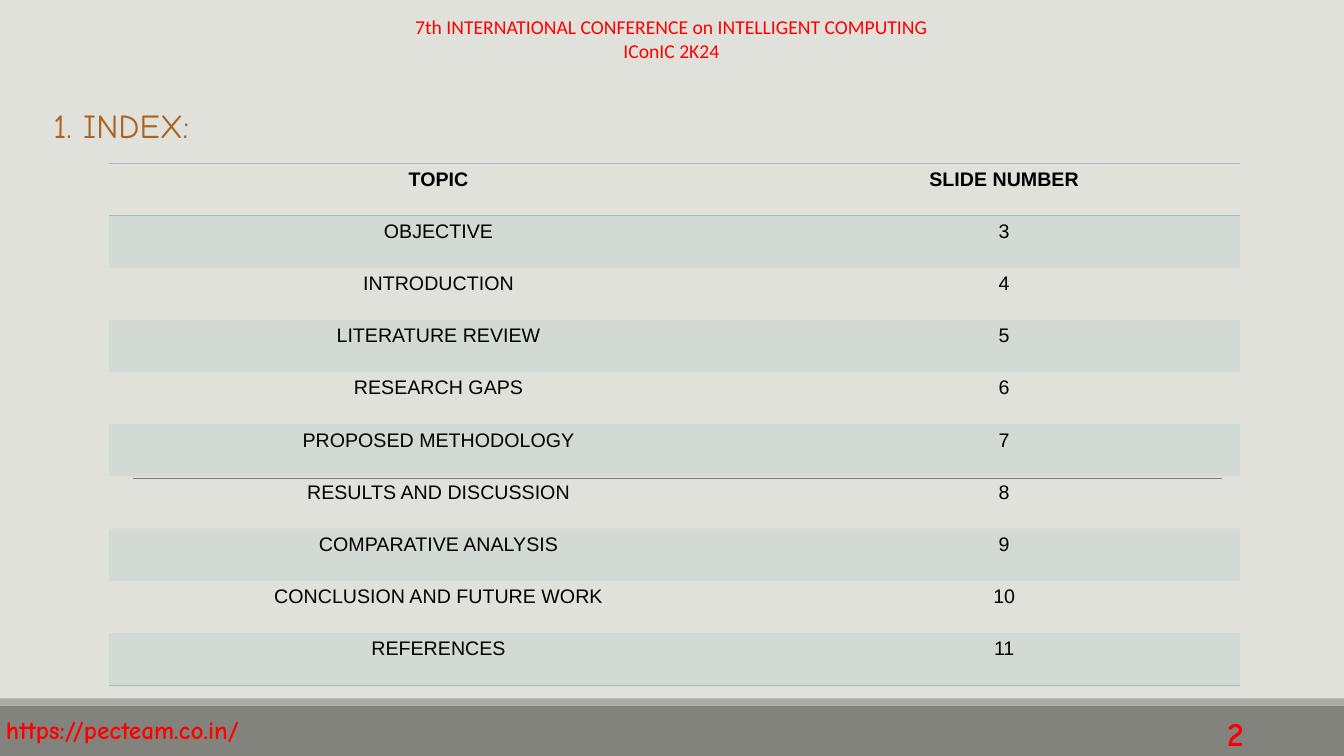
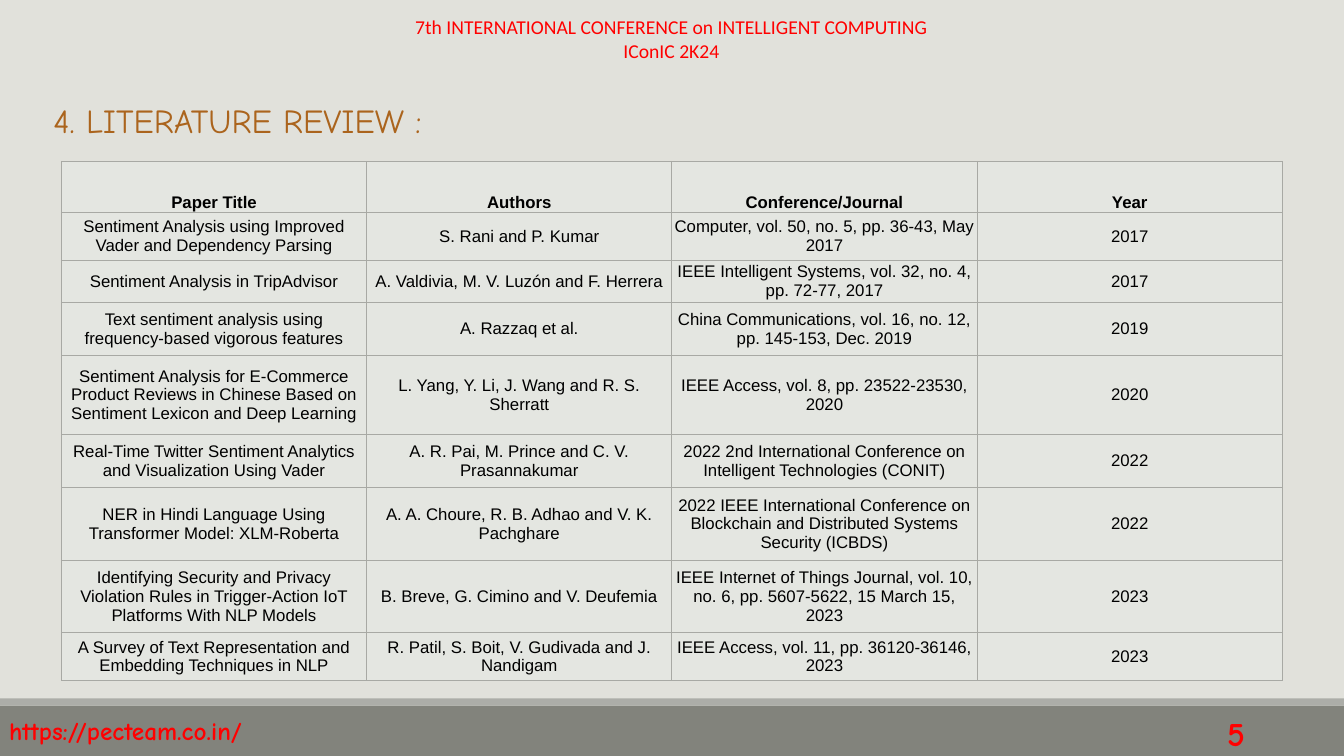
"""Build the index and literature review slides of a conference talk."""
from dataclasses import dataclass

from lxml import etree
from pptx import Presentation
from pptx import util as u
from pptx.dml.color import RGBColor
from pptx.enum import shapes, text
from pptx.oxml.ns import qn

BACKGROUND, BAND, STRIP, RULE = "E1E1DB", "82837C", "ACADA8", "7F7F7F"
RED, TITLE, BLACK = "FF0000", "AB641D", "000000"
TEAL, GRID, CELL = "9DBFBE", "A8A9A4", "E4E6E1"
NO_STYLE = "{2D5ABB26-0587-4C30-8999-92F81FD0307C}"
WIDTH, HEIGHT = 13.33, 7.5


@dataclass(frozen=True)
class Box:
    left: float
    top: float
    width: float
    height: float

    def lengths(self) -> tuple:
        return tuple(u.Inches(n) for n in (self.left, self.top, self.width, self.height))


@dataclass(frozen=True)
class Style:
    font: str
    size: float
    color: str
    bold: bool = False
    align: text.PP_ALIGN = text.PP_ALIGN.LEFT
    spacing: float = 1.0


@dataclass(frozen=True)
class Topic:
    name: str
    number: int


@dataclass(frozen=True)
class Paper:
    title: str
    authors: str
    journal: str
    year: int
    height: float


CENTER = text.PP_ALIGN.CENTER
CONFERENCE_STYLE = Style("Calibri", 14, RED, align=CENTER)
TITLE_STYLE = Style("Comic Neue", 24, TITLE, spacing=0.9)
LINK_STYLE = Style("Comic Neue", 18, RED, bold=True)
NUMBER_STYLE = Style("Comic Neue", 24, RED, bold=True)

TOPICS = [Topic(name, number) for number, name in enumerate((
    "OBJECTIVE", "INTRODUCTION", "LITERATURE REVIEW", "RESEARCH GAPS",
    "PROPOSED METHODOLOGY", "RESULTS AND DISCUSSION", "COMPARATIVE ANALYSIS",
    "CONCLUSION AND FUTURE WORK", "REFERENCES"), start=3)]

PAPERS = [
    Paper("Sentiment Analysis using Improved Vader and Dependency Parsing",
          "S. Rani and P. Kumar",
          "Computer, vol. 50, no. 5, pp. 36-43, May 2017", 2017, 0.47),
    Paper("Sentiment Analysis in TripAdvisor",
          "A. Valdivia, M. V. Luzón and F. Herrera",
          "IEEE Intelligent Systems, vol. 32, no. 4, pp. 72-77, 2017", 2017, 0.41),
    Paper("Text sentiment analysis using frequency-based vigorous features",
          "A. Razzaq et al.",
          "China Communications, vol. 16, no. 12, pp. 145-153, Dec. 2019", 2019, 0.53),
    Paper("Sentiment Analysis for E-Commerce Product Reviews in Chinese Based on "
          "Sentiment Lexicon and Deep Learning",
          "L. Yang, Y. Li, J. Wang and R. S. Sherratt",
          "IEEE Access, vol. 8, pp. 23522-23530, 2020", 2020, 0.78),
    Paper("Real-Time Twitter Sentiment Analytics and Visualization Using Vader",
          "A. R. Pai, M. Prince and C. V. Prasannakumar",
          "2022 2nd International Conference on Intelligent Technologies (CONIT)",
          2022, 0.53),
    Paper("NER in Hindi Language Using Transformer Model: XLM-Roberta",
          "A. A. Choure, R. B. Adhao and V. K. Pachghare",
          "2022 IEEE International Conference on Blockchain and Distributed Systems "
          "Security (ICBDS)", 2022, 0.72),
    Paper("Identifying Security and Privacy Violation Rules in Trigger-Action IoT "
          "Platforms With NLP Models",
          "B. Breve, G. Cimino and V. Deufemia",
          "IEEE Internet of Things Journal, vol. 10, no. 6, pp. 5607-5622, "
          "15 March 15, 2023", 2023, 0.72),
    Paper("A Survey of Text Representation and Embedding Techniques in NLP",
          "R. Patil, S. Boit, V. Gudivada and J. Nandigam",
          "IEEE Access, vol. 11, pp. 36120-36146, 2023", 2023, 0.47),
]


def rgb(color: str) -> RGBColor:
    return RGBColor.from_string(color)


def add_line(para, words: str, style: Style) -> None:
    para.alignment = style.align
    para.line_spacing = style.spacing
    span = para.add_run()
    span.text = words
    span.font.name = style.font
    span.font.size = u.Pt(style.size)
    span.font.bold = style.bold
    span.font.color.rgb = rgb(style.color)


def add_text(page, place: Box, lines: list[str], style: Style) -> None:
    frame = page.shapes.add_textbox(*place.lengths()).text_frame
    frame.word_wrap = True
    frame.margin_left = frame.margin_right = frame.margin_top = frame.margin_bottom = 0
    for index, words in enumerate(lines):
        para = frame.add_paragraph() if index else frame.paragraphs[0]
        add_line(para, words, style)


def add_band(page, place: Box, color: str) -> None:
    band = page.shapes.add_shape(shapes.MSO_SHAPE.RECTANGLE, *place.lengths())
    band.shadow.inherit = False
    band.fill.solid()
    band.fill.fore_color.rgb = rgb(color)
    band.line.fill.background()


def add_rule(page) -> None:
    rule = page.shapes.add_connector(
        shapes.MSO_CONNECTOR.STRAIGHT,
        u.Inches(1.32), u.Inches(4.75), u.Inches(12.12), u.Inches(4.75))
    rule.line.color.rgb = rgb(RULE)
    rule.line.width = u.Pt(0.75)
    etree.SubElement(rule._element.spPr, qn("a:effectLst"))


def add_page(deck, title: str, title_top: float, link: Box, number: int):
    page = deck.slides.add_slide(deck.slide_layouts[6])
    page.background.fill.solid()
    page.background.fill.fore_color.rgb = rgb(BACKGROUND)
    add_band(page, Box(0, 7, WIDTH, 0.5), BAND)
    add_band(page, Box(0, 6.93, WIDTH, 0.07), STRIP)
    add_rule(page)
    add_text(page, Box(3.96, 0.15, 5.4, 0.47),
             ["7th INTERNATIONAL CONFERENCE on INTELLIGENT COMPUTING", "IConIC 2K24"],
             CONFERENCE_STYLE)
    add_text(page, Box(0.53, title_top, 12.28, 0.4), [title], TITLE_STYLE)
    add_text(page, link, ["https://pecteam.co.in/"], LINK_STYLE)
    add_text(page, Box(12.17, 7.07, 0.41, 0.4), [str(number)], NUMBER_STYLE)
    return page


def add_grid(page, place: Box, rows: list[tuple]):
    table = page.shapes.add_table(len(rows), len(rows[0]), *place.lengths()).table
    table._tbl.tblPr.find(qn("a:tableStyleId")).text = NO_STYLE
    table.horz_banding = False
    return table


def set_borders(cell, sides: str, color: str, points: float) -> None:
    properties = cell._tc.get_or_add_tcPr()
    for side in "LRTB":
        border = etree.SubElement(properties, qn(f"a:ln{side}"))
        if side in sides:
            border.set("w", str(u.Pt(points)))
            fill = etree.SubElement(border, qn("a:solidFill"))
            etree.SubElement(fill, qn("a:srgbClr")).set("val", color)
        else:
            border.set("w", "0")
            etree.SubElement(border, qn("a:noFill"))


def set_fill(cell, color: str, percent: int = 100) -> None:
    cell.fill.solid()
    cell.fill.fore_color.rgb = rgb(color)
    if percent < 100:
        tint = cell._tc.tcPr.find(f"{qn('a:solidFill')}/{qn('a:srgbClr')}")
        etree.SubElement(tint, qn("a:alpha")).set("val", str(percent * 1000))


def add_index_table(page) -> None:
    rows = [("TOPIC", "SLIDE NUMBER"), *((topic.name, topic.number) for topic in TOPICS)]
    table = add_grid(page, Box(1.08, 1.62, 11.22, 5.18), rows)
    table.columns[0].width, table.columns[1].width = u.Inches(6.54), u.Inches(4.68)
    edges = {0: "TB", 1: "T", len(rows) - 1: "B"}
    for r, row in enumerate(rows):
        style = Style("Arial", 14, BLACK, bold=r == 0, align=CENTER)
        for c, words in enumerate(row):
            cell = table.cell(r, c)
            set_borders(cell, edges.get(r, ""), TEAL, 1)
            if r % 2:
                set_fill(cell, TEAL, 20)
            else:
                cell.fill.background()
            add_line(cell.text_frame.paragraphs[0], str(words), style)


def add_paper_table(page) -> None:
    rows = [("Paper Title", "Authors", "Conference/Journal", "Year"),
            *((p.title, p.authors, p.journal, p.year) for p in PAPERS)]
    heights = [0.51, *(paper.height for paper in PAPERS)]
    table = add_grid(page, Box(0.61, 1.6, 12.11, sum(heights)), rows)
    for r, row in enumerate(rows):
        table.rows[r].height = u.Inches(heights[r])
        style = Style("Arial", 12, BLACK, bold=r == 0, align=CENTER)
        for c, words in enumerate(row):
            cell = table.cell(r, c)
            cell.margin_left = cell.margin_right = u.Inches(0.02)
            cell.margin_top = cell.margin_bottom = u.Inches(0.01)
            cell.vertical_anchor = text.MSO_ANCHOR.MIDDLE if r else text.MSO_ANCHOR.BOTTOM
            set_borders(cell, "LRTB", GRID, 0.75)
            set_fill(cell, CELL)
            add_line(cell.text_frame.paragraphs[0], str(words), style)


def main() -> None:
    deck = Presentation()
    deck.slide_width, deck.slide_height = u.Inches(WIDTH), u.Inches(HEIGHT)
    add_index_table(add_page(deck, "1. INDEX:", 1.09, Box(0.06, 7.09, 3.1, 0.3), 2))
    add_paper_table(add_page(deck, "4. LITERATURE REVIEW :", 1.04,
                             Box(0.09, 7.1, 3.1, 0.3), 5))
    deck.save("out.pptx")


if __name__ == "__main__":
    main()
